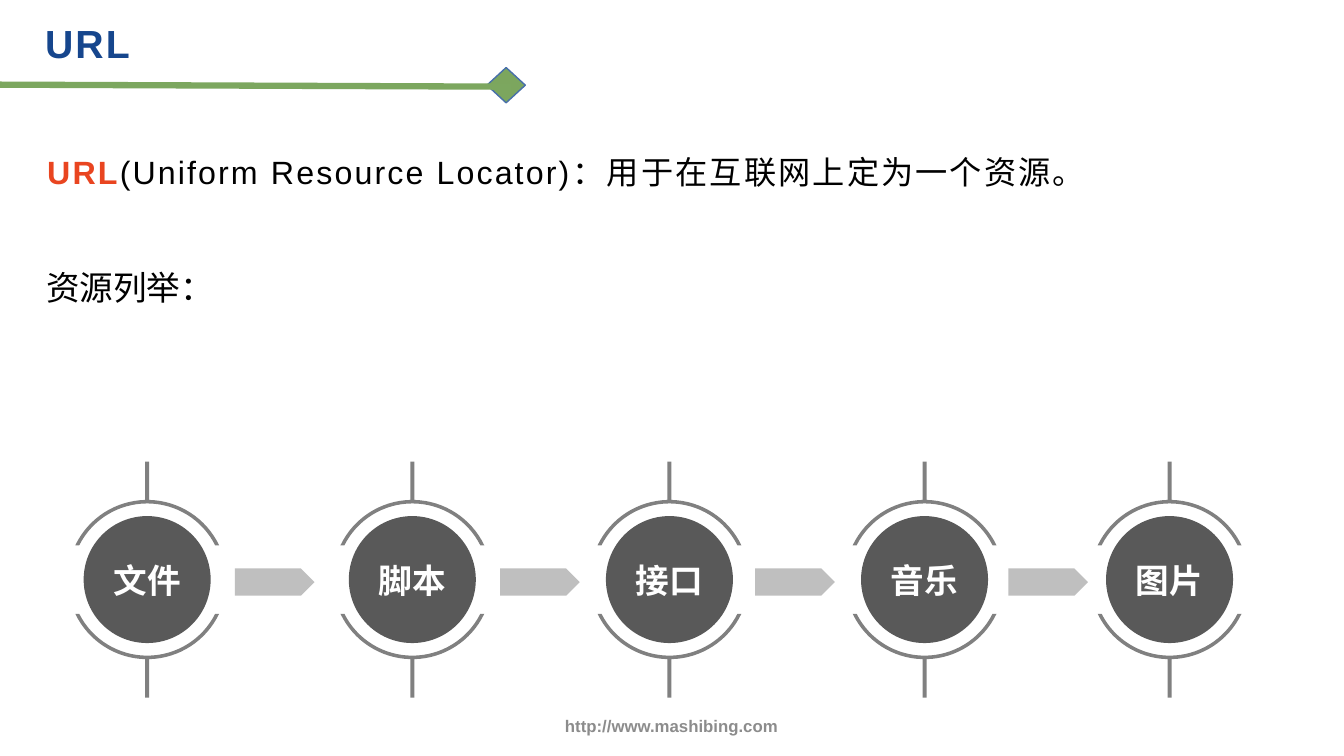
from dataclasses import dataclass
from math import asin, cos, pi, sin, tan

from lxml.etree import SubElement
from pptx import Presentation
from pptx.dml.color import RGBColor
from pptx.enum.lang import MSO_LANGUAGE_ID
from pptx.enum.shapes import MSO_CONNECTOR, MSO_SHAPE
from pptx.enum.text import MSO_ANCHOR, MSO_AUTO_SIZE, PP_ALIGN
from pptx.oxml import parse_xml
from pptx.oxml.ns import nsdecls, qn
from pptx.util import Inches, Pt


@dataclass(frozen=True)
class Theme:
    font: str = "Arial"
    title: str = "16468D"
    accent: str = "E94520"
    text: str = "000000"
    footer: str = "8C8C8C"
    rule: str = "7CA75F"
    diamond: str = "7CA65E"
    diamond_edge: str = "476FAA"
    disc: str = "595959"
    bracket: str = "808080"
    arrow: str = "BFBFBF"
    label: str = "FFFFFF"
    title_size: int = 28
    body_size: int = 23
    label_size: int = 24
    footer_size: int = 12


THEME = Theme()

# Name, centre of the disc, left edge of the arrow that follows
STAGES = [
    ("文件", 1.46, 2.33),
    ("脚本", 4.09, 4.96),
    ("接口", 6.64, 7.49),
    ("音乐", 9.17, 10.0),
    ("图片", 11.6, None),
]


def add_text(page, box, spans, size, align=PP_ALIGN.LEFT, anchor=MSO_ANCHOR.TOP,
             line_spacing=None, tracking=None, grow=False):
    """Add one paragraph; spans are (text, colour, bold), tracking is in points."""
    frame = page.shapes.add_textbox(*map(Inches, box)).text_frame
    frame.word_wrap = True
    frame.vertical_anchor = anchor
    if grow:
        frame.auto_size = MSO_AUTO_SIZE.SHAPE_TO_FIT_TEXT
    para = frame.paragraphs[0]
    para.alignment = align
    if line_spacing:
        para.line_spacing = line_spacing
    for text, color, bold in spans:
        span = para.add_run()
        span.text = text
        span.font.name = THEME.font
        span.font.size = Pt(size)
        span.font.bold = bold
        span.font.color.rgb = RGBColor.from_string(color)
        span.font.language_id = MSO_LANGUAGE_ID.SIMPLIFIED_CHINESE
        if tracking:
            span.font._element.set("spc", str(round(tracking * 100)))


def paint(shape, fill, edge=None):
    shape.shadow.inherit = False
    shape.fill.solid()
    shape.fill.fore_color.rgb = RGBColor.from_string(fill)
    if edge:
        shape.line.color.rgb = RGBColor.from_string(edge)
        shape.line.width = Pt(1)
    else:
        shape.line.fill.background()


def add_preset(page, kind, box, fill, edge=None):
    paint(page.shapes.add_shape(kind, *map(Inches, box)), fill, edge)


def add_header(page, left, top):
    add_preset(page, MSO_SHAPE.DIAMOND, (left + 4.83, top + 0.67, 0.38, 0.35),
               THEME.diamond, THEME.diamond_edge)
    rule = page.shapes.add_connector(
        MSO_CONNECTOR.STRAIGHT, Inches(left), Inches(top + 0.84),
        Inches(left + 5.07), Inches(top + 0.86))
    rule.line.color.rgb = RGBColor.from_string(THEME.rule)
    rule.line.width = Pt(4.5)
    SubElement(rule._element.spPr, qn("a:effectLst"))
    add_text(page, (left + 0.35, top, 4.73, 0.75), [("URL", THEME.title, True)],
             THEME.title_size, line_spacing=1.3, tracking=1.5)


def add_body(page, left, top):
    definition = [
        ("URL", THEME.accent, True),
        ("(Uniform Resource Locator)：用于在互联网上定为一个资源。", THEME.text, False),
    ]
    add_text(page, (left, top, 11.03, 0.99), definition, THEME.body_size,
             line_spacing=1.3, tracking=1.5)
    add_text(page, (left - 0.01, top + 1.25, 1.67, 0.5),
             [("资源列举：", THEME.text, False)], THEME.label_size, grow=True)


def arc(radius, start, end):
    """Two control points and the end point of a cubic curve along a circle."""
    reach = 4 / 3 * tan((end - start) / 4)
    return [
        (radius * (cos(start) - reach * sin(start)), radius * (sin(start) + reach * cos(start))),
        (radius * (cos(end) + reach * sin(end)), radius * (sin(end) - reach * cos(end))),
        (radius * cos(end), radius * sin(end)),
    ]


def bracket_segments():
    """Upper arc with its stem, as offsets from the disc centre, y upwards.

    A segment of one point is a line, one of three points a curve.
    """
    outer, inner, cut, half_stem, stem_end = 0.79, 0.755, 0.34, 0.02, 1.17
    outer_start, inner_start = asin(cut / outer), asin(cut / inner)
    stem_gap = asin(half_stem / outer)
    stem_foot = outer * cos(stem_gap)
    return [
        [(-outer * cos(outer_start), cut)],
        arc(outer, pi - outer_start, pi / 2 + stem_gap),
        [(-half_stem, stem_end)],
        [(half_stem, stem_end)],
        [(half_stem, stem_foot)],
        arc(outer, pi / 2 - stem_gap, outer_start),
        [(inner * cos(inner_start), cut)],
        arc(inner, inner_start, pi / 2),
        arc(inner, pi / 2, pi - inner_start),
    ]


def bend_curves(shape, segments):
    """Turn each run of three lines that stands for a curve into that curve."""
    lines = iter(list(shape._element.iter(qn("a:lnTo"))))
    for segment in segments:
        members = [next(lines) for _ in segment]
        if len(members) == 3:
            curve = parse_xml(f"<a:cubicBezTo {nsdecls('a')}/>")
            members[0].addprevious(curve)
            for line in members:
                curve.append(line[0])
                line.getparent().remove(line)


def add_brackets(page, center_x, center_y):
    segments = bracket_segments()
    outline = [point for segment in segments for point in segment]
    upper, lower = [
        [(Inches(center_x + x), Inches(center_y + side * y)) for x, y in outline]
        for side in (-1, 1)
    ]
    builder = page.shapes.build_freeform(*upper[0])
    builder.add_line_segments(upper[1:], close=True)
    builder.move_to(*lower[0])
    builder.add_line_segments(lower[1:], close=True)
    shape = builder.convert_to_shape()
    bend_curves(shape, segments[1:] * 2)
    paint(shape, THEME.bracket)


def add_stage(page, name, center_x, center_y):
    size = 1.26
    add_preset(page, MSO_SHAPE.OVAL,
               (center_x - size / 2, center_y - size / 2, size, size), THEME.disc)
    add_brackets(page, center_x, center_y)
    add_text(page, (center_x - 0.57, center_y - 0.24, 1.14, 0.5),
             [(name, THEME.label, True)], THEME.label_size, PP_ALIGN.CENTER, grow=True)


def add_resource_chain(page, center_y):
    for name, center_x, arrow_left in STAGES:
        add_stage(page, name, center_x, center_y)
        if arrow_left is not None:
            add_preset(page, MSO_SHAPE.PENTAGON,
                       (arrow_left, center_y - 0.11, 0.79, 0.27), THEME.arrow)


def add_footer(page, box):
    add_text(page, box, [("http://www.mashibing.com", THEME.footer, True)],
             THEME.footer_size, PP_ALIGN.CENTER, MSO_ANCHOR.MIDDLE)


def main():
    deck = Presentation()
    deck.slide_width, deck.slide_height = Inches(13.33), Inches(7.5)
    page = deck.slides.add_slide(deck.slide_layouts[6])
    add_header(page, 0, 0)
    add_footer(page, (4.3, 6.9, 4.72, 0.6))
    add_body(page, 0.37, 1.35)
    add_resource_chain(page, 5.75)
    deck.save("out.pptx")


if __name__ == "__main__":
    main()
